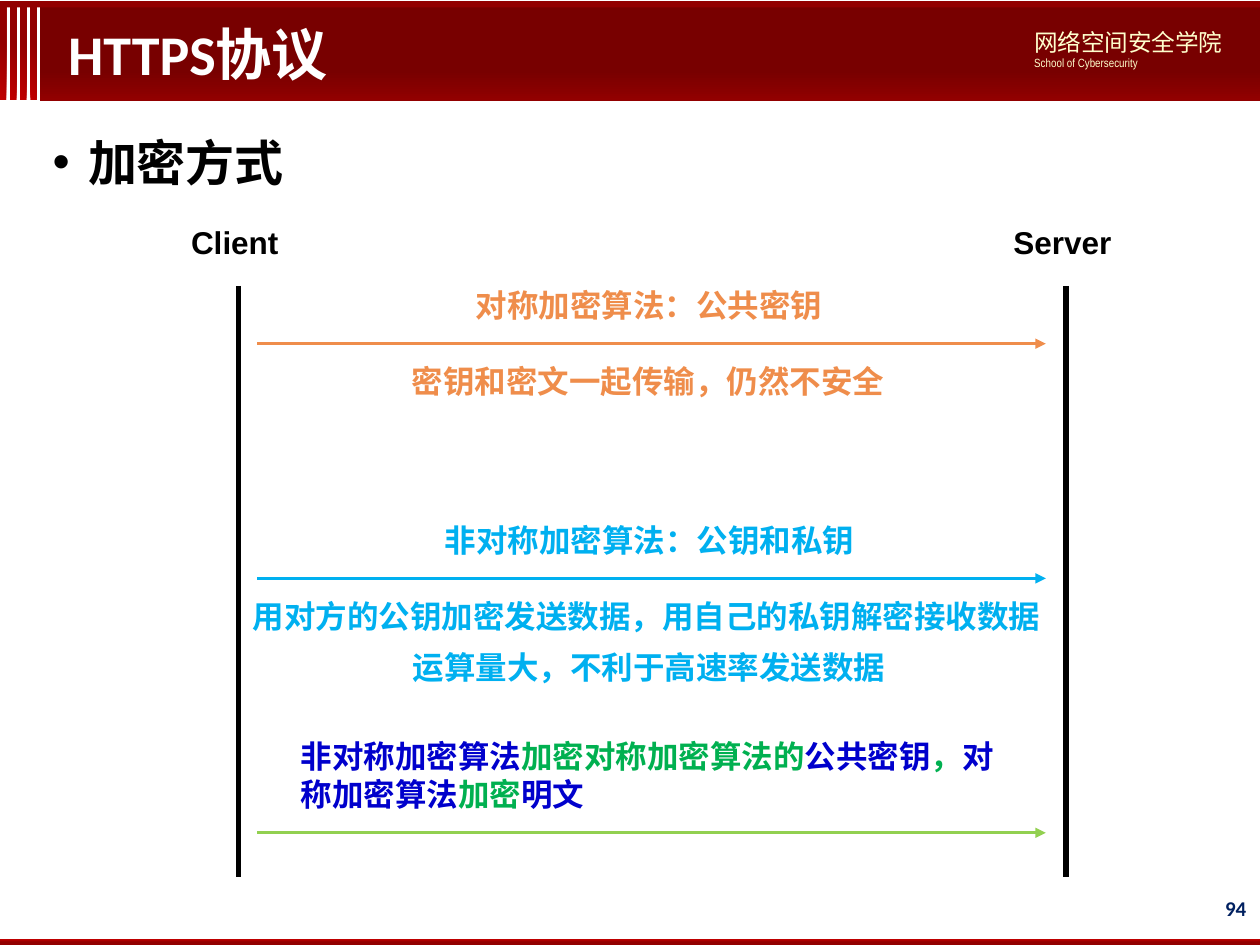
"""Build the HTTPS encryption methods slide."""
from dataclasses import dataclass

from lxml import etree
from pptx import Presentation
from pptx.dml.color import RGBColor
from pptx.enum.shapes import MSO_CONNECTOR, MSO_SHAPE
from pptx.enum.text import MSO_ANCHOR, MSO_AUTO_SIZE, PP_ALIGN
from pptx.oxml.ns import qn
from pptx.util import Pt

STRAIGHT = MSO_CONNECTOR.STRAIGHT
RECTANGLE = MSO_SHAPE.RECTANGLE
TOP, MIDDLE = MSO_ANCHOR.TOP, MSO_ANCHOR.MIDDLE
LEFT, RIGHT = PP_ALIGN.LEFT, PP_ALIGN.RIGHT
NO_FIT = MSO_AUTO_SIZE.NONE

TITLE_ONLY = 5
CJK_FONT = "Noto Sans CJK SC"
BLACK, WHITE, ORANGE, SKY, LIME = "000000", "FFFFFF", "EF8D4B", "00B0F0", "92D050"
BLUE, GREEN, CREAM, NAVY = "0000CC", "00B050", "FFFFCD", "002060"
RED, DARK_RED, MAROON = "C00000", "920000", "780000"


@dataclass(frozen=True)
class Band:
    left: float
    top: float
    width: float
    height: float
    stops: tuple[tuple[float, str], ...]
    angle: float = 0


@dataclass(frozen=True)
class Label:
    text: str
    left: float
    top: float
    width: float
    color: str


@dataclass(frozen=True)
class Rule:
    start: tuple[float, float]
    end: tuple[float, float]
    color: str
    weight: float
    arrow: bool = False


STRIPES = [Band(5.76 * index, 3.6, 3.6, 53.5, ((0, RED), (0.62, DARK_RED)), 45)
           for index in range(4)]
BANDS = STRIPES + [
    Band(23, 4.3, 697, 53.3, ((0, DARK_RED), (0.32, MAROON)), 90),
    Band(0, 536.4, 720, 3.6, ((0.1, RED), (0.54, DARK_RED)), 270),
    Band(0, 0.7, 720, 3.6, ((0, DARK_RED),)),
]
LIFELINES = [Rule((x, 163.4), (x, 501.1), BLACK, 3) for x in (136.1, 609.1)]
ARROWS = [Rule((146.9, y), (597.6, y), color, 1.5, True)
          for y, color in ((196.4, ORANGE), (330.5, SKY), (475.9, LIME))]
LABELS = [
    Label("Client", 102.1, 123.8, 67.7, BLACK),
    Label("Server", 572, 123.8, 73.8, BLACK),
    Label("对称加密算法：公共密钥", 264.7, 159.8, 215.3, ORANGE),
    Label("密钥和密文一起传输，仍然不安全", 228.1, 203.5, 287.8, ORANGE),
    Label("非对称加密算法：公钥和私钥", 247.2, 294.2, 249.8, SKY),
    Label("用对方的公钥加密发送数据，用自己的私钥解密接收数据", 137.3, 337.7, 470.2, SKY),
    Label("运算量大，不利于高速率发送数据", 228.8, 366.6, 287.3, SKY),
]
SUMMARY = [
    ("非对称加密算法", BLUE), ("加密对称加密算法的", GREEN), ("公共密钥", BLUE),
    ("，", GREEN), ("对称加密算法", BLUE), ("加密", GREEN), ("明文", BLUE),
]


def rgb(color: str) -> RGBColor:
    """Turn a hex string into a colour."""
    return RGBColor.from_string(color)


def add_span(para, text: str, *, size: float = 18, font: str = "Arial",
             color: str = BLACK, bold: bool = True) -> None:
    """Add one formatted run to a paragraph."""
    span = para.add_run()
    span.text = text
    span.font.size = Pt(size)
    span.font.bold = bold
    span.font.color.rgb = rgb(color)
    span.font.name = font
    etree.SubElement(span.font._element, qn("a:ea"), typeface=CJK_FONT)


def add_box(page, left: float, top: float, width: float, height: float, *,
            wrap: bool = True, anchor=TOP, align=LEFT):
    """Add an empty text box and return its frame."""
    box = page.shapes.add_textbox(Pt(left), Pt(top), Pt(width), Pt(height))
    frame = box.text_frame
    frame.word_wrap = wrap
    frame.vertical_anchor = anchor
    frame.paragraphs[0].alignment = align
    return frame


def add_band(page, band: Band) -> None:
    """Draw a plain or gradient band."""
    shape = page.shapes.add_shape(RECTANGLE, Pt(band.left), Pt(band.top),
                                  Pt(band.width), Pt(band.height))
    shape.shadow.inherit = False
    shape.line.fill.background()
    if len(band.stops) == 1:
        shape.fill.solid()
        shape.fill.fore_color.rgb = rgb(band.stops[0][1])
        return
    shape.fill.gradient()
    shape.fill.gradient_angle = band.angle
    for stop, (position, color) in zip(shape.fill.gradient_stops, band.stops):
        stop.position = position
        stop.color.rgb = rgb(color)


def add_rule(page, rule: Rule) -> None:
    """Draw a line, with an arrowhead when asked."""
    line = page.shapes.add_connector(STRAIGHT, *map(Pt, rule.start + rule.end))
    line.line.color.rgb = rgb(rule.color)
    line.line.width = Pt(rule.weight)
    if rule.arrow:
        etree.SubElement(line.line._get_or_add_ln(), qn("a:tailEnd"), type="triangle")
    etree.SubElement(line._element.spPr, qn("a:effectLst"))


def add_title(page, text: str) -> None:
    """Place and format the title placeholder."""
    title = page.shapes.title
    title.left, title.top, title.width, title.height = map(Pt, (31.7, 3.6, 487.4, 53.3))
    frame = title.text_frame
    frame.auto_size = NO_FIT
    frame.vertical_anchor = MIDDLE
    para = frame.paragraphs[0]
    para.alignment = LEFT
    add_span(para, text, size=32, font="Calibri", color=WHITE)
    page.shapes._spTree.append(title._element)


def add_heading(page, text: str) -> None:
    """Add the bulleted heading."""
    para = add_box(page, 23, 65.5, 670.3, 47.5).paragraphs[0]
    properties = para._p.get_or_add_pPr()
    properties.set("marL", str(Pt(20.2)))
    properties.set("indent", str(-Pt(20.2)))
    etree.SubElement(properties, qn("a:buFont"), typeface="Arial")
    etree.SubElement(properties, qn("a:buChar"), char="•")
    para.line_spacing = 1.2
    add_span(para, text, size=28, font="Calibri")


def main() -> None:
    """Build and save the deck."""
    deck = Presentation()
    deck.slide_width, deck.slide_height = Pt(720), Pt(540)
    page = deck.slides.add_slide(deck.slide_layouts[TITLE_ONLY])
    for band in BANDS:
        add_band(page, band)
    add_title(page, "HTTPS协议")

    school = add_box(page, 583.9, 12.2, 130.3, 31.7)
    add_span(school.paragraphs[0], "网络空间安全学院", size=13.5, font=CJK_FONT,
             color=CREAM, bold=False)
    add_span(school.add_paragraph(), "School of Cybersecurity", size=6.8,
             font="Arial Narrow", color=CREAM, bold=False)
    number = add_box(page, 549.4, 504.7, 169.9, 28.8, anchor=MIDDLE, align=RIGHT)
    add_span(number.paragraphs[0], "94", size=12, font="Calibri", color=NAVY)

    add_heading(page, "加密方式")
    for rule in LIFELINES + ARROWS:
        add_rule(page, rule)
    for label in LABELS:
        frame = add_box(page, label.left, label.top, label.width, 28.8, wrap=False)
        add_span(frame.paragraphs[0], label.text, color=label.color)
    summary = add_box(page, 164.9, 417.6, 419.8, 51.1).paragraphs[0]
    for text, color in SUMMARY:
        add_span(summary, text, color=color)
    deck.save("out.pptx")


if __name__ == "__main__":
    main()
